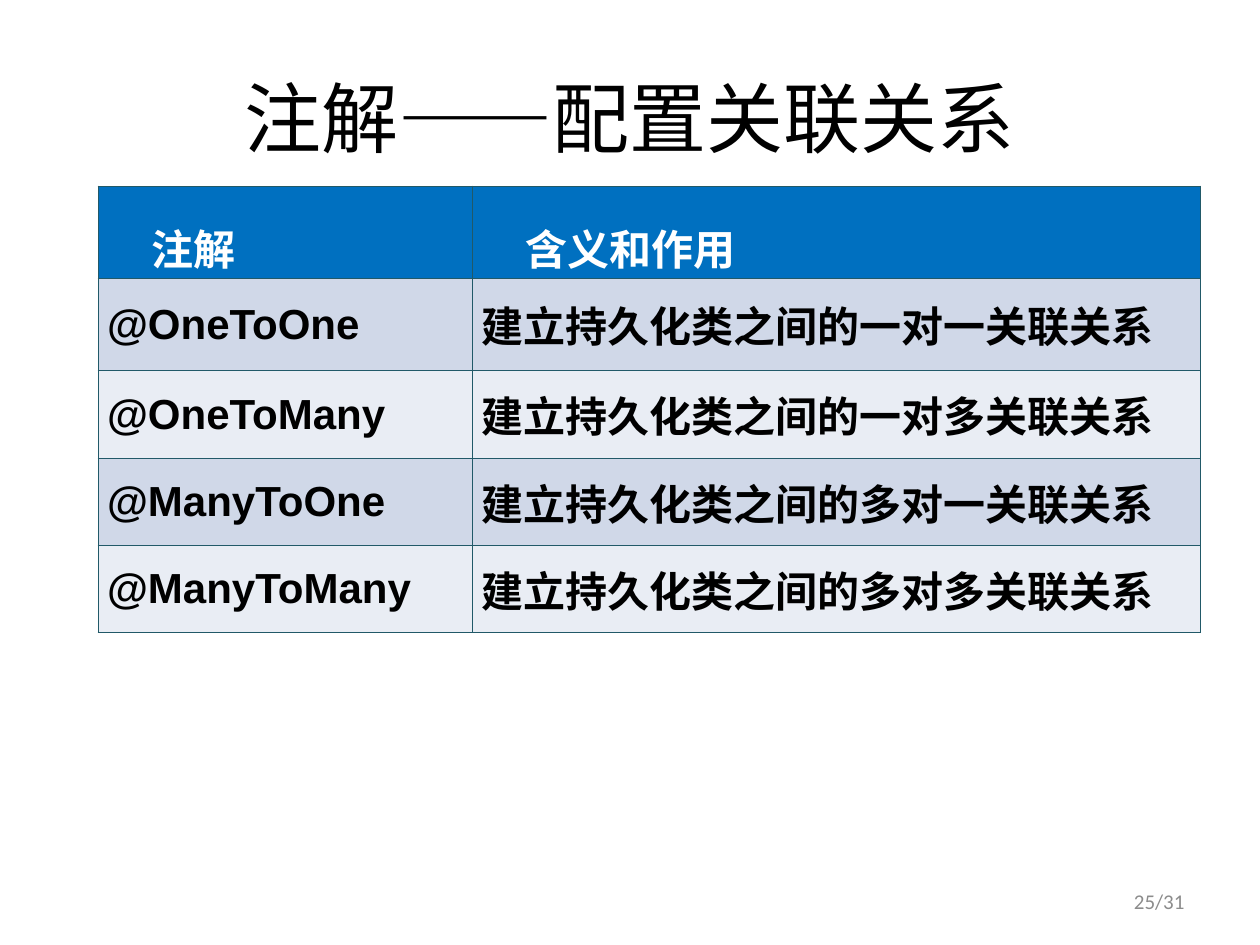
from typing import NamedTuple

import pptx
import pptx.dml.color
import pptx.enum.text
import pptx.oxml
import pptx.oxml.ns
import pptx.util
from pptx.enum.text import MSO_ANCHOR, PP_ALIGN
from pptx.util import Inches

CJK_FONT = "Noto Sans CJK SC"
HEADER_FILL = "0070C0"
BAND_FILLS = ("D0D8E8", "E9EDF4")
BORDER = "215968"
COLUMN_WIDTHS = (2.97, 5.78)
ROW_HEIGHTS = (0.73, 0.73, 0.7, 0.69, 0.69)


class TextStyle(NamedTuple):
    size: float
    font: str
    color: str
    bold: bool = False


class Label(NamedTuple):
    text: str
    left: float
    top: float
    width: float
    height: float
    align: PP_ALIGN
    style: TextStyle


class Annotation(NamedTuple):
    name: str
    meaning: str


LABELS = (
    Label("注解——配置关联关系", 0.5, 0.3, 9, 1.25, PP_ALIGN.CENTER,
          TextStyle(44, "Calibri", "000000")),
    Label("25/31", 7.17, 6.95, 2.33, 0.4, PP_ALIGN.RIGHT,
          TextStyle(12, "Calibri", "8C8C8C")),
)
HEADER_STYLE = TextStyle(24, CJK_FONT, "FFFFFF", True)
BODY_STYLE = TextStyle(24, "Arial", "000000", True)
ROWS = (
    Annotation("注解", "含义和作用"),
    Annotation("@OneToOne", "建立持久化类之间的一对一关联关系"),
    Annotation("@OneToMany", "建立持久化类之间的一对多关联关系"),
    Annotation("@ManyToOne", "建立持久化类之间的多对一关联关系"),
    Annotation("@ManyToMany", "建立持久化类之间的多对多关联关系"),
)


def rgb(color: str) -> pptx.dml.color.RGBColor:
    return pptx.dml.color.RGBColor.from_string(color)


def write(frame, text: str, style: TextStyle, align: PP_ALIGN):
    """Fill the frame with one styled paragraph and return it."""
    frame.text = text
    para = frame.paragraphs[0]
    para.alignment = align
    for span in para.runs:
        span.font.size = pptx.util.Pt(style.size)
        span.font.name = style.font
        span.font.bold = style.bold
        span.font.color.rgb = rgb(style.color)
        east_asian = pptx.oxml.parse_xml(
            f'<a:ea {pptx.oxml.ns.nsdecls("a")} typeface="{CJK_FONT}"/>')
        span.font._element.append(east_asian)
    return para


def add_label(page, label: Label) -> None:
    box = page.shapes.add_textbox(Inches(label.left), Inches(label.top),
                                  Inches(label.width), Inches(label.height))
    frame = box.text_frame
    frame.word_wrap = True
    frame.vertical_anchor = MSO_ANCHOR.MIDDLE
    write(frame, label.text, label.style, label.align)


def set_borders(cell) -> None:
    properties = cell._tc.get_or_add_tcPr()
    for index, side in enumerate(("lnL", "lnR", "lnT", "lnB")):
        line = pptx.oxml.parse_xml(
            f'<a:{side} {pptx.oxml.ns.nsdecls("a")} w="{pptx.util.Pt(1)}">'
            f'<a:solidFill><a:srgbClr val="{BORDER}"/></a:solidFill></a:{side}>')
        properties.insert(index, line)


def fill_cell(cell, text: str, row_index: int) -> None:
    cell.margin_left = cell.margin_right = Inches(0.07)
    cell.margin_top = cell.margin_bottom = 0
    cell.fill.solid()
    if row_index == 0:
        cell.fill.fore_color.rgb = rgb(HEADER_FILL)
        para = write(cell.text_frame, text, HEADER_STYLE, PP_ALIGN.JUSTIFY)
        para.line_spacing = 1.5
        para._p.get_or_add_pPr().set("marL", str(Inches(0.35)))
    else:
        cell.fill.fore_color.rgb = rgb(BAND_FILLS[(row_index - 1) % 2])
        cell.vertical_anchor = MSO_ANCHOR.MIDDLE
        write(cell.text_frame, text, BODY_STYLE, PP_ALIGN.LEFT)
    set_borders(cell)


def add_annotation_table(page) -> None:
    table = page.shapes.add_table(
        len(ROWS), len(COLUMN_WIDTHS), Inches(0.78), Inches(1.48),
        Inches(sum(COLUMN_WIDTHS)), Inches(sum(ROW_HEIGHTS))).table
    for column, width in zip(table.columns, COLUMN_WIDTHS):
        column.width = Inches(width)
    for row, height in zip(table.rows, ROW_HEIGHTS):
        row.height = Inches(height)
    for row_index, annotation in enumerate(ROWS):
        for column_index, text in enumerate(annotation):
            fill_cell(table.cell(row_index, column_index), text, row_index)


def main() -> None:
    deck = pptx.Presentation()
    deck.slide_width = Inches(10)
    deck.slide_height = Inches(7.5)
    page = deck.slides.add_slide(deck.slide_layouts[6])
    for label in LABELS:
        add_label(page, label)
    add_annotation_table(page)
    deck.save("out.pptx")


if __name__ == "__main__":
    main()
